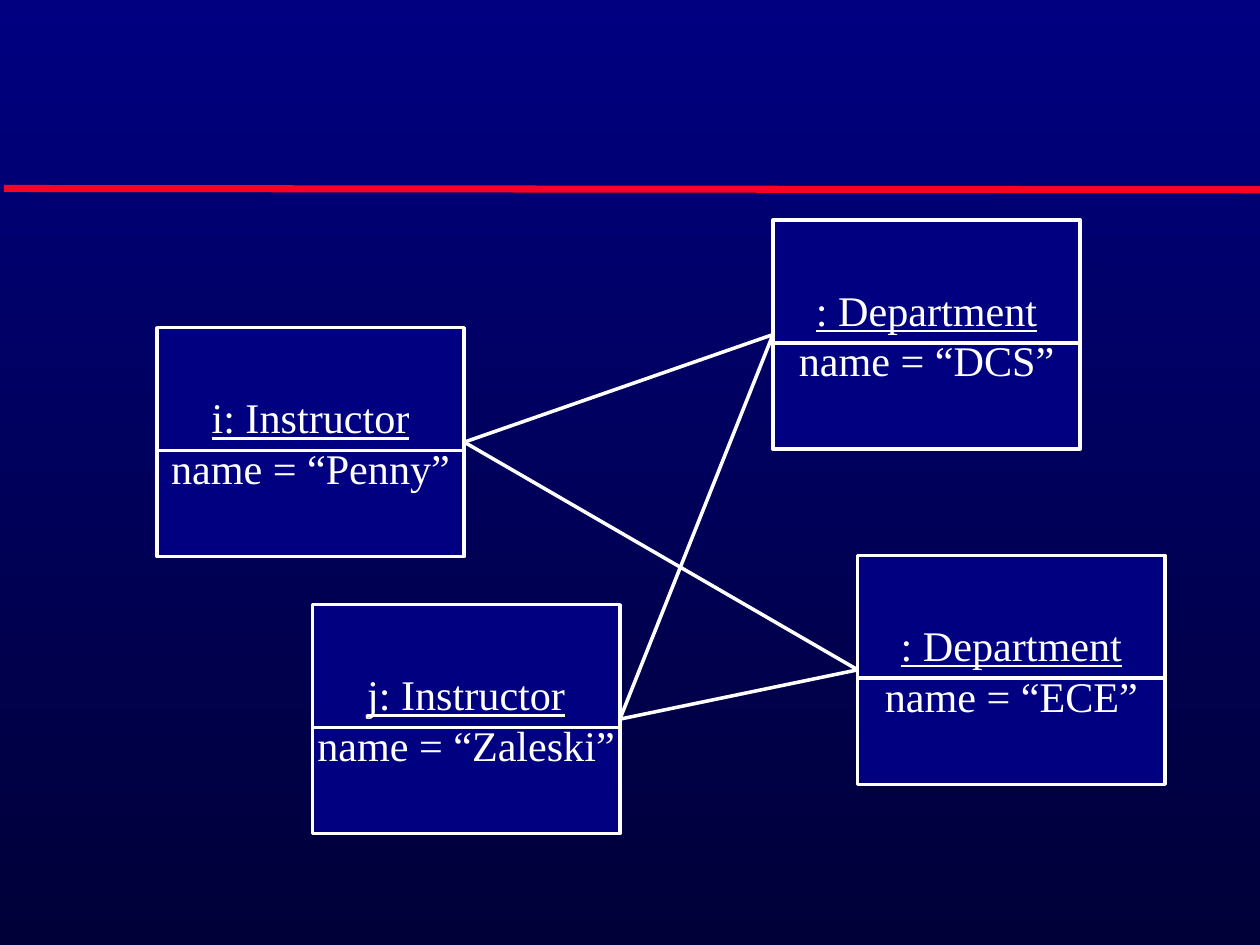
from lxml.etree import SubElement
from pptx import Presentation
from pptx.dml.color import RGBColor
from pptx.enum.shapes import MSO_CONNECTOR, MSO_SHAPE
from pptx.enum.text import MSO_ANCHOR, PP_ALIGN
from pptx.oxml.ns import qn
from pptx.util import Inches, Pt

NAVY, DARK_NAVY, WHITE, RED = "000080", "000038", "FFFFFF", "FC0128"
SLIDE_WIDTH, SLIDE_HEIGHT = 9.96, 7.47
BOX_WIDTH, BOX_HEIGHT = 2.43, 1.81
DIVIDER_OFFSET = 0.97
LEFT_SIDE, RIGHT_SIDE = 1, 3
TEXT_FORMAT = {"name": "Times New Roman", "size": Pt(24)}

# name: (left, top, heading, attribute)
OBJECTS = {
    "penny": (1.24, 2.59, "i: Instructor", "name = “Penny”"),
    "zaleski": (2.47, 4.78, "j: Instructor", "name = “Zaleski”"),
    "dcs": (6.11, 1.74, ": Department", "name = “DCS”"),
    "ece": (6.78, 4.39, ": Department", "name = “ECE”"),
}
INSTRUCTORS = ("penny", "zaleski")
DEPARTMENTS = ("dcs", "ece")


def color(value):
    return RGBColor.from_string(value)


def set_background(slide):
    fill = slide.background.fill
    fill.gradient()
    fill.gradient_angle = 270
    for stop, value in zip(fill.gradient_stops, (NAVY, DARK_NAVY)):
        stop.color.rgb = color(value)


def add_line(slide, start, end, value=WHITE, width=2):
    points = [Inches(length) for length in (*start, *end)]
    connector = slide.shapes.add_connector(MSO_CONNECTOR.STRAIGHT, *points)
    connector.line.color.rgb = color(value)
    connector.line.width = Pt(width)
    SubElement(connector._element.spPr, qn("a:effectLst"))
    return connector


def add_run(paragraph, text, underline):
    run = paragraph.add_run()
    run.text = text
    for name, value in {**TEXT_FORMAT, "underline": underline}.items():
        setattr(run.font, name, value)
    run.font.color.rgb = color(WHITE)


def add_object(slide, left, top, heading, attribute):
    """Add a UML object box: underlined heading, divider, attribute."""
    box = slide.shapes.add_shape(
        MSO_SHAPE.RECTANGLE, Inches(left), Inches(top),
        Inches(BOX_WIDTH), Inches(BOX_HEIGHT))
    box.shadow.inherit = False
    box.fill.solid()
    box.fill.fore_color.rgb = color(NAVY)
    box.line.color.rgb = color(WHITE)
    box.line.width = Pt(2)

    frame = box.text_frame
    frame.word_wrap = False
    frame.vertical_anchor = MSO_ANCHOR.MIDDLE
    paragraph = frame.paragraphs[0]
    paragraph.alignment = PP_ALIGN.CENTER
    add_run(paragraph, heading, True)
    paragraph.add_line_break()
    add_run(paragraph, attribute, False)

    divider_top = top + DIVIDER_OFFSET
    add_line(slide, (left, divider_top), (left + BOX_WIDTH, divider_top))
    return box


def link(slide, instructor, department):
    connector = add_line(slide, (0, 0), (1, 1))
    connector.begin_connect(instructor, RIGHT_SIDE)
    connector.end_connect(department, LEFT_SIDE)


def main():
    presentation = Presentation()
    presentation.slide_width = Inches(SLIDE_WIDTH)
    presentation.slide_height = Inches(SLIDE_HEIGHT)
    slide = presentation.slides.add_slide(presentation.slide_layouts[6])

    set_background(slide)
    add_line(slide, (0.03, 1.49), (SLIDE_WIDTH, 1.5), RED, 4)
    boxes = {name: add_object(slide, *values) for name, values in OBJECTS.items()}
    for instructor in INSTRUCTORS:
        for department in DEPARTMENTS:
            link(slide, boxes[instructor], boxes[department])

    presentation.save("out.pptx")


if __name__ == "__main__":
    main()
